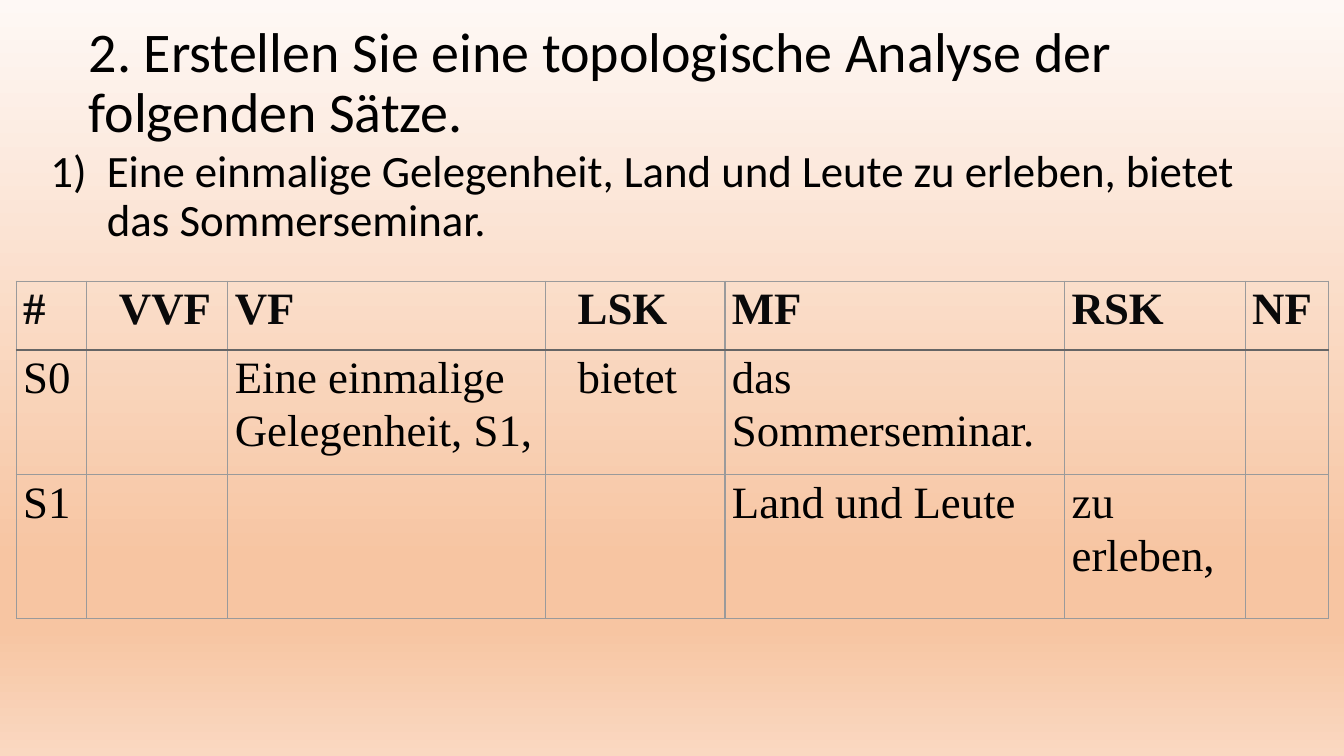
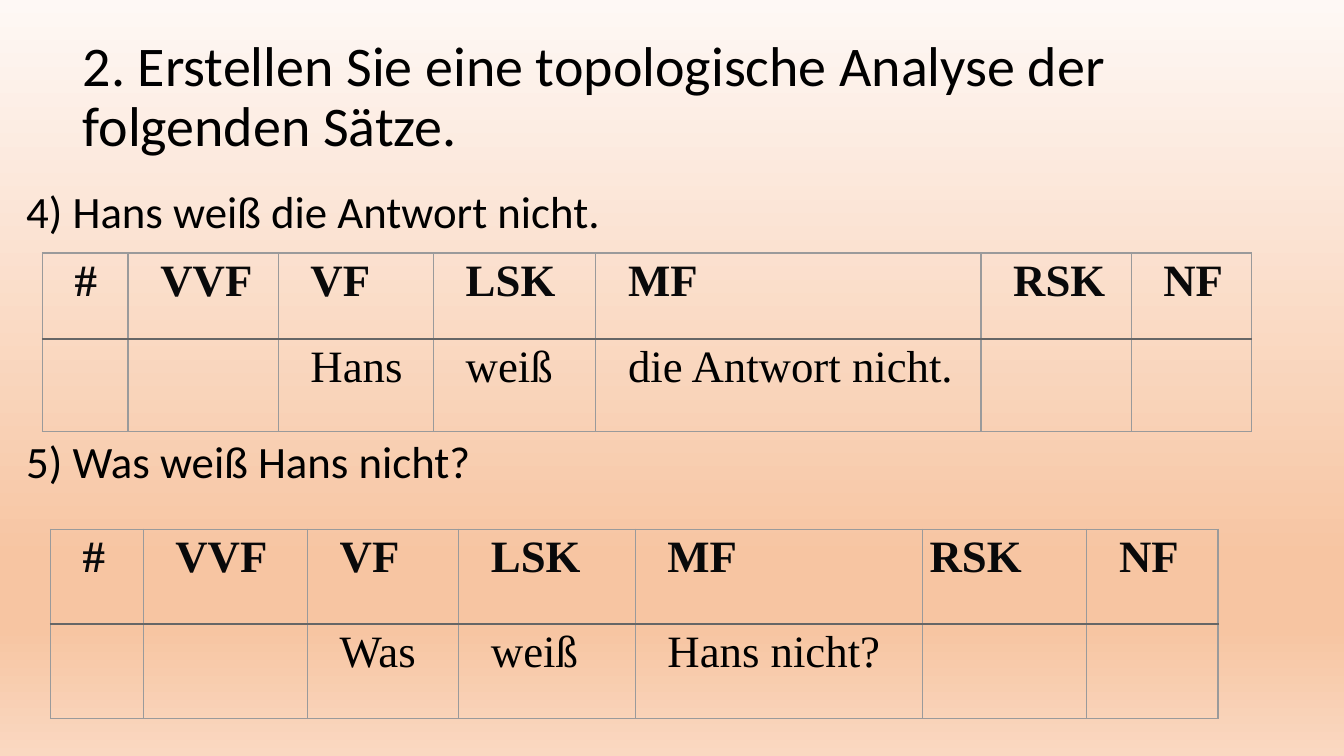
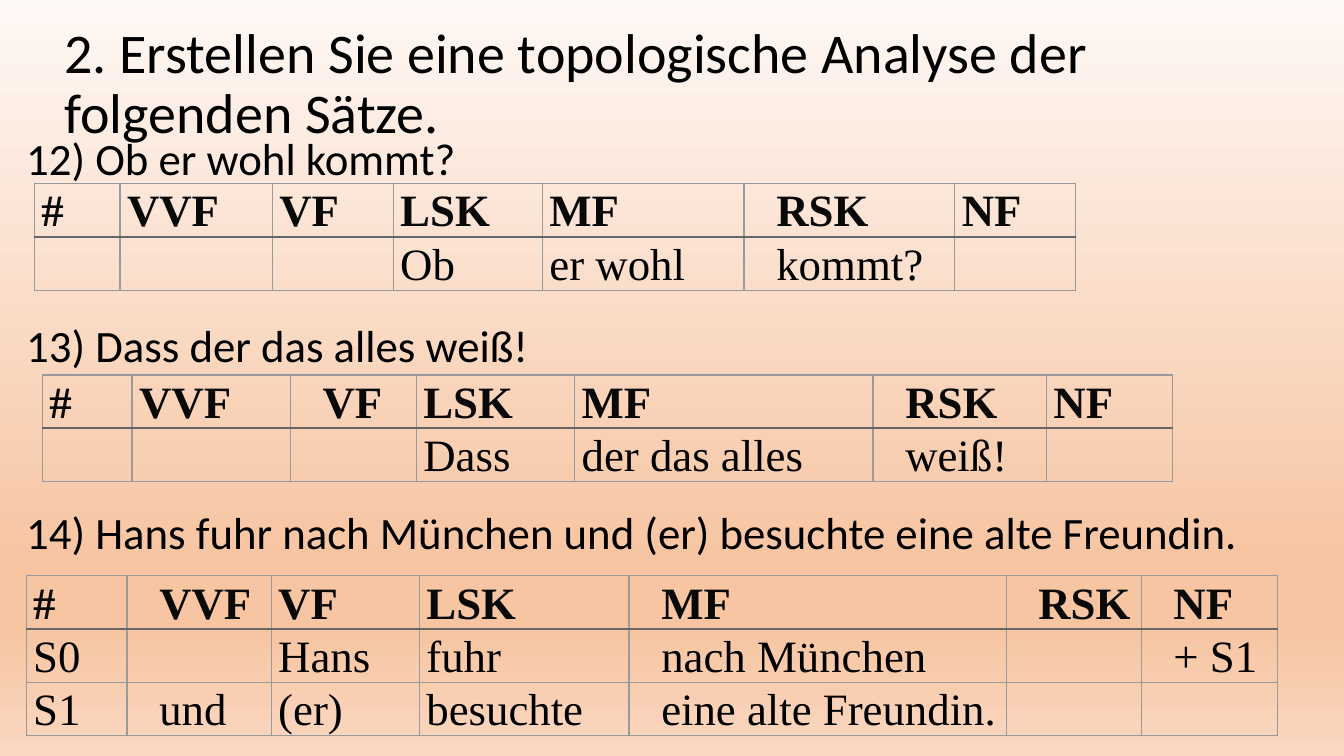
"""Build three slides of topological sentence analysis with field tables."""
import lxml.etree
import pptx
import pptx.dml.color
import pptx.enum.text
import pptx.oxml.ns
import pptx.util

PX = 9144
COLORS = {
    "text": "000000",
    "header": "09090A",
    "grid": "9A9A9B",
    "rule": "666666",
}
GRADIENT = [(0, "FEF8F5"), (74, "F7C5A2"), (83, "F7C5A2"), (100, "FAD8C1")]
TITLE = "2. Erstellen Sie eine topologische Analyse der folgenden Sätze."
FIELDS = ["#", "VVF", "VF", "LSK", "MF", "RSK", "NF"]
BODY_FONT = "Calibri"
TABLE_FONT = "Times New Roman"
TEXT_SIZE = 32
TITLE_SIZE = 40
CELL_INDENT = 26


def px(length):
    return pptx.util.Emu(length * PX)


def add_xml(parent, tag, **attributes):
    return lxml.etree.SubElement(parent, pptx.oxml.ns.qn(tag), attributes)


def place(shape, left, top, width, height):
    shape.left, shape.top = px(left), px(top)
    shape.width, shape.height = px(width), px(height)


def format_paragraph(paragraph, font, size, color, line_spacing, bold=False):
    paragraph.alignment = pptx.enum.text.PP_ALIGN.LEFT
    paragraph.line_spacing = line_spacing
    for run in paragraph.runs:
        run.font.name = font
        run.font.size = pptx.util.Pt(size)
        run.font.bold = bold
        run.font.color.rgb = pptx.dml.color.RGBColor.from_string(color)


def indent_paragraph(paragraph, left, first_line):
    properties = paragraph._p.get_or_add_pPr()
    properties.set("marL", str(px(left)))
    properties.set("indent", str(px(first_line)))
    return properties


def set_background(master):
    fill = master.background.fill
    fill.gradient()
    fill.gradient_angle = 270
    stops = next(master.element.iter(pptx.oxml.ns.qn("a:gsLst")))
    for stop in list(stops):
        stops.remove(stop)
    for percent, color in GRADIENT:
        stop = add_xml(stops, "a:gs", pos=str(percent * 1000))
        add_xml(stop, "a:srgbClr", val=color)


def add_slide(presentation, title_left, title_top):
    slide = presentation.slides.add_slide(presentation.slide_layouts[1])
    title = slide.shapes.title
    place(title, title_left, title_top, 1150, 145)
    frame = title.text_frame
    frame.text = TITLE
    frame.word_wrap = True
    frame.auto_size = pptx.enum.text.MSO_AUTO_SIZE.NONE
    frame.vertical_anchor = pptx.enum.text.MSO_ANCHOR.MIDDLE
    format_paragraph(frame.paragraphs[0], BODY_FONT, TITLE_SIZE, COLORS["text"], 0.9)
    return slide


def add_sentences(slide, box, sentences, gap=0, numbered=False):
    """Fill the body placeholder, leaving gap points between sentences for tables."""
    body = slide.placeholders[1]
    place(body, *box)
    frame = body.text_frame
    frame.text = "\n".join(sentences)
    frame.word_wrap = True
    frame.auto_size = pptx.enum.text.MSO_AUTO_SIZE.NONE
    for index, paragraph in enumerate(frame.paragraphs):
        format_paragraph(paragraph, BODY_FONT, TEXT_SIZE, COLORS["text"], 0.9)
        paragraph.space_before = pptx.util.Pt(gap if index else 10)
        hanging = 56 if numbered else 0
        properties = indent_paragraph(paragraph, hanging, -hanging)
        if numbered:
            add_xml(properties, "a:buAutoNum", type="arabicParenR")
        else:
            add_xml(properties, "a:buNone")


def set_borders(cell, row):
    grid, rule = ("grid", 1), ("rule", 1.5)
    sides = {
        "a:lnL": grid,
        "a:lnR": grid,
        "a:lnT": rule if row == 1 else grid,
        "a:lnB": rule if row == 0 else grid,
    }
    properties = cell._tc.get_or_add_tcPr()
    for position, (tag, (color, width)) in enumerate(sides.items()):
        line = add_xml(properties, tag, w=str(pptx.util.Pt(width)))
        add_xml(add_xml(line, "a:solidFill"), "a:srgbClr", val=COLORS[color])
        properties.insert(position, line)


def fill_cell(cell, text, row, indent):
    cell.fill.background()
    cell.margin_left, cell.margin_right = px(7), px(8)
    cell.margin_top = cell.margin_bottom = 0
    set_borders(cell, row)
    if text:
        cell.text_frame.text = text
        paragraph = cell.text_frame.paragraphs[0]
        color = COLORS["text" if row else "header"]
        format_paragraph(paragraph, TABLE_FONT, TEXT_SIZE, color, 1.07, bold=row == 0)
        paragraph.space_after = pptx.util.Pt(0.2)
        indent_paragraph(paragraph, indent, -1)


def add_field_table(slide, left, top, widths, heights, indented, sentences):
    """Add a table of fields; indented names the fields whose text is set in."""
    rows = [FIELDS, *sentences]
    frame = slide.shapes.add_table(
        len(rows), len(FIELDS), px(left), px(top), px(sum(widths)), px(sum(heights)))
    table = frame.table
    table.first_row = table.horz_banding = False
    for column, width in zip(table.columns, widths):
        column.width = px(width)
    for row, (height, texts) in enumerate(zip(heights, rows)):
        table.rows[row].height = px(height)
        for column, (field, text) in enumerate(zip(FIELDS, texts)):
            indent = CELL_INDENT if field in indented else 0
            fill_cell(table.cell(row, column), text, row, indent)


def add_seminar_slide(presentation):
    slide = add_slide(presentation, 78, 11)
    add_sentences(slide, (40, 143, 1202, 533), [
        "Eine einmalige Gelegenheit, Land und Leute zu erleben, bietet das Sommerseminar.",
    ], numbered=True)
    add_field_table(
        slide, 16, 279, [70, 140, 315, 178, 337, 179, 83], [68, 124, 143], ["VVF", "LSK"],
        [["S0", "", "Eine einmalige Gelegenheit, S1,", "bietet", "das Sommerseminar.", "", ""],
         ["S1", "", "", "", "Land und Leute", "zu erleben,", ""]])


def add_answer_slide(presentation):
    slide = add_slide(presentation, 72, 25)
    add_sentences(slide, (16, 183, 1226, 491), [
        "4) Hans weiß die Antwort nicht.",
        "5) Was weiß Hans nicht?",
    ], gap=144)
    add_field_table(
        slide, 42, 251, [85, 149, 154, 161, 382, 149, 119], [85, 92], FIELDS,
        [["", "", "Hans", "weiß", "die Antwort nicht.", "", ""]])
    add_field_table(
        slide, 50, 525, [92, 163, 150, 175, 285, 163, 130], [94, 94],
        ["#", "VVF", "VF", "LSK", "MF", "NF"],
        [["", "", "Was", "weiß", "Hans nicht?", "", ""]])


def add_clause_slide(presentation):
    slide = add_slide(presentation, 54, 12)
    add_sentences(slide, (16, 131, 1226, 544), [
        "12) Ob er wohl kommt?",
        "13) Dass der das alles weiß!",
        "14) Hans fuhr nach München und (er) besuchte eine alte Freundin.",
    ], gap=99)
    add_field_table(
        slide, 34, 182, [85, 151, 120, 148, 200, 209, 120], [53] * 2, ["RSK"],
        [["", "", "", "Ob", "er wohl", "kommt?", ""]])
    add_field_table(
        slide, 42, 372, [89, 157, 125, 157, 296, 172, 125], [53] * 2, ["VF", "RSK"],
        [["", "", "", "Dass", "der das alles", "weiß!", ""]])
    add_field_table(
        slide, 26, 571, [100, 143, 147, 208, 374, 134, 135], [53] * 3,
        ["VVF", "MF", "RSK", "NF"],
        [["S0", "", "Hans", "fuhr", "nach München", "", "+ S1"],
         ["S1", "und", "(er)", "besuchte", "eine alte Freundin.", "", ""]])


def main():
    presentation = pptx.Presentation()
    presentation.slide_width, presentation.slide_height = px(1333), px(750)
    set_background(presentation.slide_master)
    add_seminar_slide(presentation)
    add_answer_slide(presentation)
    add_clause_slide(presentation)
    presentation.save("out.pptx")


if __name__ == "__main__":
    main()
